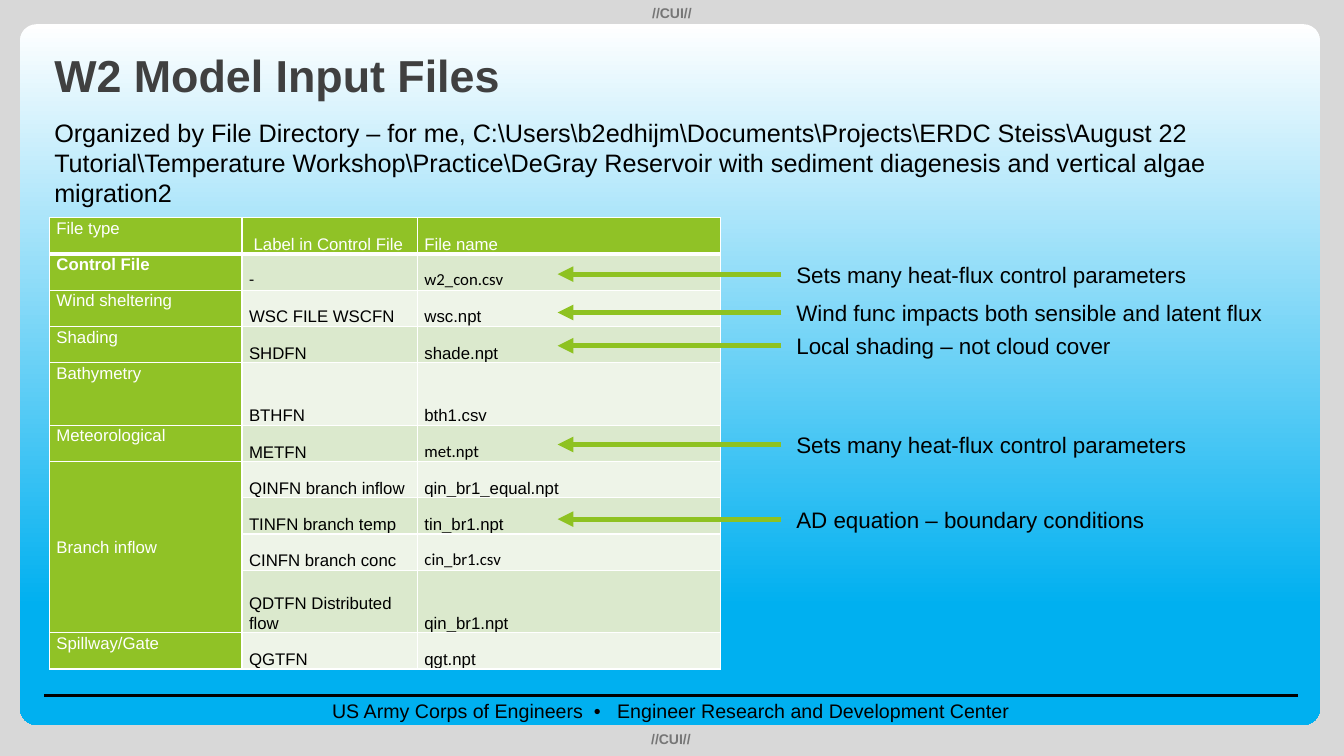
"""Build the slide that lists the W2 model input files."""
from dataclasses import dataclass

from lxml.etree import SubElement
from pptx import Presentation
from pptx.dml.color import RGBColor
from pptx.enum.shapes import MSO_CONNECTOR, MSO_SHAPE
from pptx.enum.text import MSO_ANCHOR, PP_ALIGN
from pptx.oxml import parse_xml
from pptx.oxml.ns import nsdecls, qn
from pptx.slide import Slide
from pptx.table import _Cell
from pptx.text.text import TextFrame
from pptx.util import Inches, Pt

BLACK = RGBColor(0x00, 0x00, 0x00)
WHITE = RGBColor(0xFF, 0xFF, 0xFF)
BACKDROP = RGBColor(0xD8, 0xD8, 0xD8)
SKY = RGBColor(0x00, 0xB0, 0xF0)
TITLE_GRAY = RGBColor(0x40, 0x40, 0x40)
MARKING_GRAY = RGBColor(0x76, 0x76, 0x76)
ARROW_GREEN = RGBColor(0x8E, 0xC2, 0x21)
HEADER_GREEN = RGBColor(0x90, 0xC2, 0x26)
BANDS = (RGBColor(0xEE, 0xF4, 0xE8), RGBColor(0xDB, 0xE9, 0xCD))

COLUMN_WIDTHS = (1.91, 1.74, 3.01)
ROW_HEIGHT = 0.36
TALL_ROW_HEIGHT = 0.62
TALL_ROWS = (4, 9)
BRANCH_ROWS = (6, 9)
CALIBRI_TEXTS = ("-", "w2_con.csv", "met.npt", "cin_br1.csv")
ROWS = (
    ("File type", " Label in Control File", "File name"),
    ("Control File", "-", "w2_con.csv"),
    ("Wind sheltering", "WSC FILE WSCFN", "wsc.npt"),
    ("Shading", "SHDFN", "shade.npt"),
    ("Bathymetry", "BTHFN", "bth1.csv"),
    ("Meteorological", "METFN", "met.npt"),
    ("Branch inflow", "QINFN branch inflow", "qin_br1_equal.npt"),
    ("", "TINFN branch temp", "tin_br1.npt"),
    ("", "CINFN branch conc", "cin_br1.csv"),
    ("", "QDTFN Distributed flow", "qin_br1.npt"),
    ("Spillway/Gate", "QGTFN", "qgt.npt"),
)


@dataclass(frozen=True)
class Label:
    """Text with its place and look."""
    text: str
    left: float
    top: float
    width: float
    height: float
    size: int
    color: RGBColor = BLACK
    bold: bool = False
    align: PP_ALIGN = PP_ALIGN.LEFT
    anchor: MSO_ANCHOR = MSO_ANCHOR.TOP


@dataclass(frozen=True)
class Remark:
    """Comment on a table row, with the height of its arrow."""
    text: str
    middle: float
    width: float


LABELS = (
    Label("US Army Corps of Engineers  •   Engineer Research and Development Center",
          0.45, 6.88, 12.41, 0.34, 14, align=PP_ALIGN.CENTER),
    Label("//CUI//", 0, 0, 13.33, 0.27, 10, MARKING_GRAY, True, PP_ALIGN.CENTER),
    Label("//CUI//", -0.01, 7.2, 13.33, 0.27, 10, MARKING_GRAY, True, PP_ALIGN.CENTER),
    Label("W2 Model Input Files", 0.44, 0.3, 12.22, 0.88, 32, TITLE_GRAY, True,
          anchor=MSO_ANCHOR.MIDDLE),
    Label("Organized by File Directory – for me, "
          "C:\\Users\\b2edhijm\\Documents\\Projects\\ERDC Steiss\\August 22 "
          "Tutorial\\Temperature Workshop\\Practice\\DeGray Reservoir with sediment "
          "diagenesis and vertical algae migration2", 0.44, 1.11, 11.97, 1.01, 18),
)
REMARKS = (
    Remark("Sets many heat-flux control parameters", 2.72, 4.16),
    Remark("Wind func impacts both sensible and latent flux", 3.1, 4.86),
    Remark("Local shading – not cloud cover", 3.43, 3.44),
    Remark("Sets many heat-flux control parameters", 4.41, 4.16),
    Remark("AD equation – boundary conditions", 5.15, 3.76),
)


def write(frame: TextFrame, text: str, size: int, color: RGBColor,
          bold: bool = False, name: str = "Arial") -> None:
    """Put one formatted run in the frame."""
    span = frame.paragraphs[0].add_run()
    span.text = text
    formats = {"size": Pt(size), "bold": bold, "name": name}
    for key, value in formats.items():
        setattr(span.font, key, value)
    span.font.color.rgb = color


def add_label(page: Slide, label: Label) -> None:
    """Draw one text box."""
    box = page.shapes.add_textbox(Inches(label.left), Inches(label.top),
                                  Inches(label.width), Inches(label.height))
    frame = box.text_frame
    frame.word_wrap = True
    frame.vertical_anchor = label.anchor
    frame.paragraphs[0].alignment = label.align
    write(frame, label.text, label.size, label.color, label.bold)


def add_line(page: Slide, start: float, end: float, middle: float,
             color: RGBColor, width: float, arrow: bool = False) -> None:
    """Draw one level line, with an arrowhead at its end if asked."""
    line = page.shapes.add_connector(MSO_CONNECTOR.STRAIGHT, Inches(start), Inches(middle),
                                     Inches(end), Inches(middle))
    line.line.color.rgb = color
    line.line.width = Pt(width)
    if arrow:
        SubElement(line.line._get_or_add_ln(), qn("a:tailEnd"), type="triangle")
    SubElement(line._element.spPr, qn("a:effectLst"))


def add_panel(page: Slide) -> None:
    """Draw the rounded panel that fades from white to blue."""
    panel = page.shapes.add_shape(MSO_SHAPE.ROUNDED_RECTANGLE, Inches(0.2), Inches(0.24),
                                  Inches(12.89), Inches(6.95))
    panel.adjustments[0] = 0.023
    panel.shadow.inherit = False
    panel.line.fill.background()
    panel.fill.gradient()
    panel.fill.gradient_angle = 270
    for stop, color, position in zip(panel.fill.gradient_stops, (WHITE, SKY), (0, 0.83)):
        stop.color.rgb = color
        stop.position = position


def set_borders(cell: _Cell, bottom: int) -> None:
    """Give the cell white borders, with its own bottom width."""
    properties = cell._tc.get_or_add_tcPr()
    widths = {"lnL": 1, "lnR": 1, "lnT": 1, "lnB": bottom}
    for index, (tag, width) in enumerate(widths.items()):
        properties.insert(index, parse_xml(
            f'<a:{tag} {nsdecls("a")} w="{Pt(width)}"><a:solidFill>'
            f'<a:srgbClr val="{WHITE}"/></a:solidFill></a:{tag}>'))


def fill_cell(cell: _Cell, row: int, column: int, text: str) -> None:
    """Format one table cell and write its text."""
    green = row == 0 or column == 0
    anchor = MSO_ANCHOR.TOP if column == 0 else MSO_ANCHOR.BOTTOM
    formats = {"margin_left": Inches(0.07), "margin_right": Inches(0.07), "margin_top": 0,
               "margin_bottom": 0, "vertical_anchor": anchor}
    for key, value in formats.items():
        setattr(cell, key, value)
    cell.fill.solid()
    cell.fill.fore_color.rgb = HEADER_GREEN if green else BANDS[row % 2]
    set_borders(cell, 3 if row == 0 else 1)
    if text:
        cell.text_frame.paragraphs[0].line_spacing = 1.07
        write(cell.text_frame, text, 12, WHITE if green else BLACK,
              text == "Control File", "Calibri" if text in CALIBRI_TEXTS else "Arial")


def add_file_table(page: Slide) -> None:
    """Draw the table of input files."""
    table = page.shapes.add_table(len(ROWS), len(COLUMN_WIDTHS), Inches(0.49), Inches(2.16),
                                  Inches(sum(COLUMN_WIDTHS)), Inches(4.51)).table
    table.first_row = table.horz_banding = False
    for column, width in enumerate(COLUMN_WIDTHS):
        table.columns[column].width = Inches(width)
    for row, texts in enumerate(ROWS):
        table.rows[row].height = Inches(TALL_ROW_HEIGHT if row in TALL_ROWS else ROW_HEIGHT)
        for column, text in enumerate(texts):
            fill_cell(table.cell(row, column), row, column, text)
    first, last = BRANCH_ROWS
    branch = table.cell(first, 0)
    branch.merge(table.cell(last, 0))
    branch.vertical_anchor = MSO_ANCHOR.MIDDLE


def main() -> None:
    """Build and save the deck."""
    deck = Presentation()
    deck.slide_width, deck.slide_height = Inches(13.33), Inches(7.5)
    page = deck.slides.add_slide(deck.slide_layouts[6])
    page.background.fill.solid()
    page.background.fill.fore_color.rgb = BACKDROP
    add_panel(page)
    add_line(page, 0.44, 12.87, 6.9, BLACK, 1.5)
    for label in LABELS:
        add_label(page, label)
    add_file_table(page)
    for remark in REMARKS:
        add_line(page, 7.75, 5.53, remark.middle, ARROW_GREEN, 3.75, arrow=True)
        add_label(page, Label(remark.text, 7.8, remark.middle - 0.18, remark.width, 0.37, 16))
    deck.save("out.pptx")


if __name__ == "__main__":
    main()
